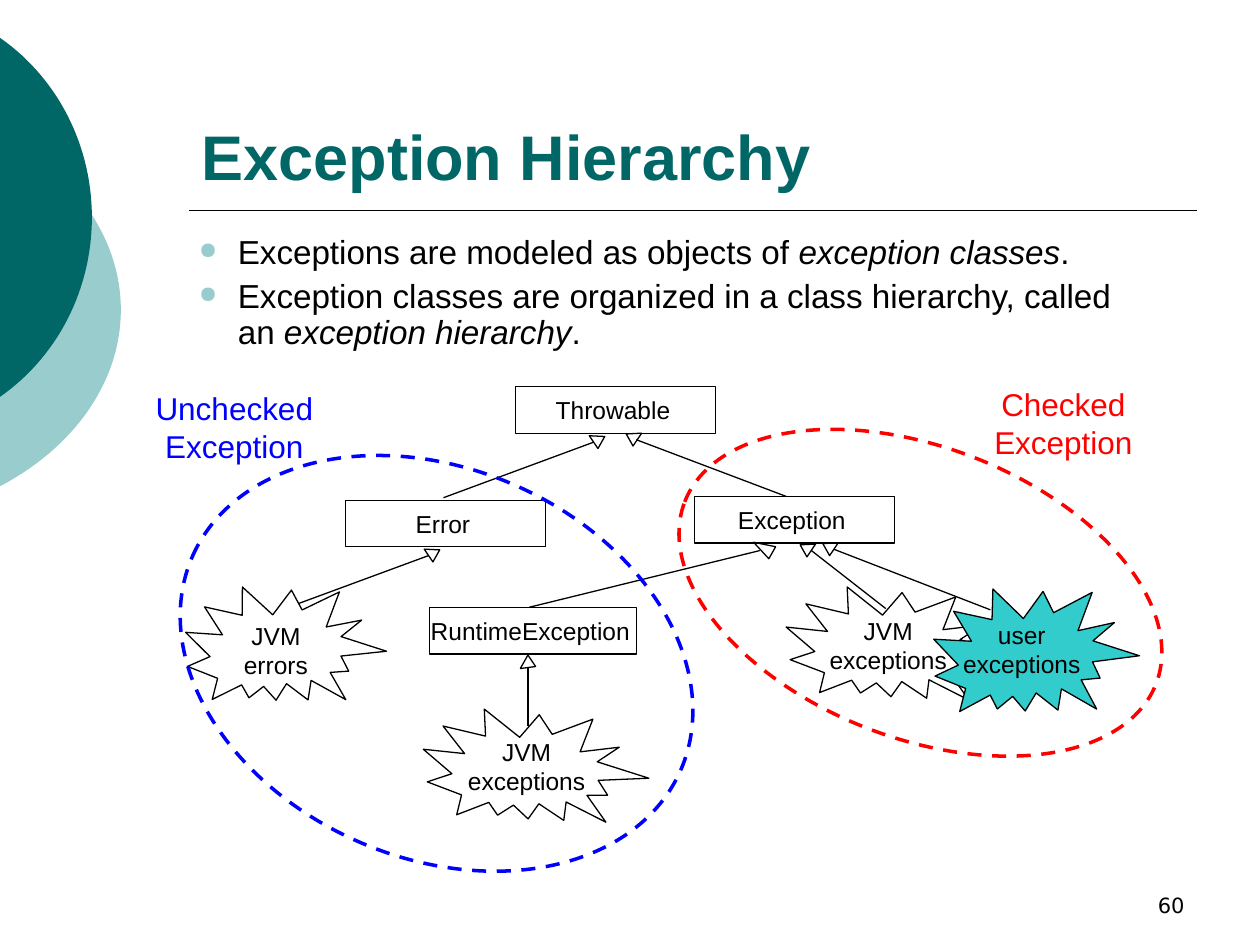
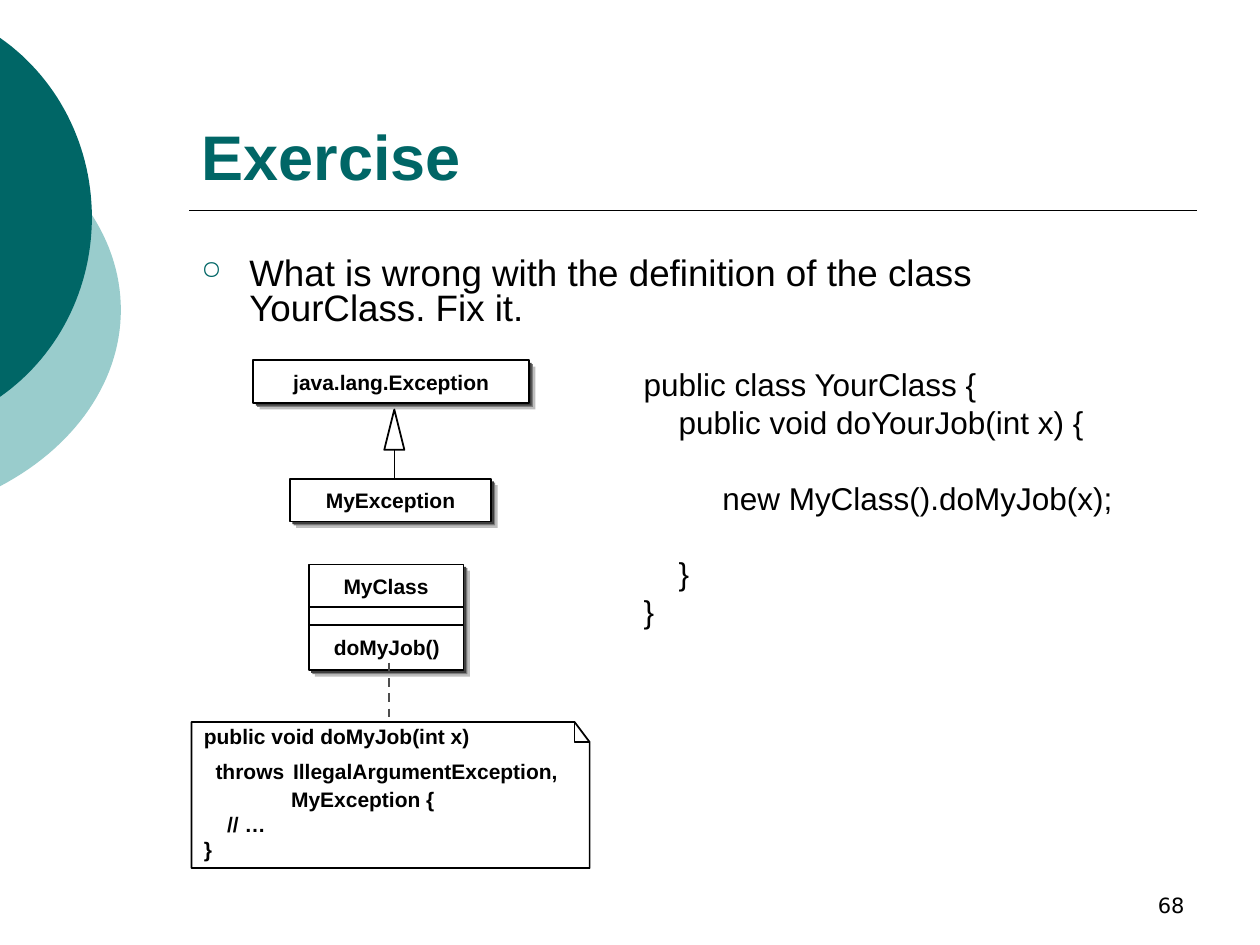
from dataclasses import dataclass

from lxml.etree import SubElement
from pptx import Presentation
from pptx.dml.color import RGBColor
from pptx.enum.dml import MSO_LINE
from pptx.enum.shapes import MSO_CONNECTOR, MSO_SHAPE as Preset
from pptx.enum.text import MSO_ANCHOR as Anchor, MSO_AUTO_SIZE as AutoSize, PP_ALIGN as Align
from pptx.oxml.ns import qn
from pptx.util import Inches, Pt


@dataclass(frozen=True)
class Theme:
    dark: str = "006666"
    light: str = "99CCCC"
    user: str = "33CCCC"
    black: str = "000000"
    white: str = "FFFFFF"
    unchecked: str = "0000FF"
    checked: str = "FF0000"
    anchor_line: str = "4D4D4D"
    shades: tuple = ("BFBFBF", "7F7F7F", "3F3F3F")
    font: str = "Arial"
    number_font: str = "DejaVu Sans"
    title: float = 36
    question: float = 21
    bullet: float = 19
    large: float = 18
    node: float = 14
    small: float = 12


THEME = Theme()


def style_runs(frame, size, color=THEME.black, bold=False, align=None, font=THEME.font):
    for paragraph in frame.paragraphs:
        if align is not None:
            paragraph.alignment = align
        for run in paragraph.runs:
            run.font.name, run.font.size, run.font.bold = font, Pt(size), bold
            run.font.color.rgb = RGBColor.from_string(color)


def set_insets(frame, left=0, top=0, right=0, bottom=0):
    frame.margin_left, frame.margin_top = Inches(left), Inches(top)
    frame.margin_right, frame.margin_bottom = Inches(right), Inches(bottom)


def paint(shape, fill=None, line=None, weight=0.75):
    shape.shadow.inherit = False
    if fill:
        shape.fill.solid()
        shape.fill.fore_color.rgb = RGBColor.from_string(fill)
    else:
        shape.fill.background()
    if line:
        shape.line.color.rgb = RGBColor.from_string(line)
        shape.line.width = Pt(weight)
    else:
        shape.line.fill.background()


def add_preset(slide, preset, box, fill=None, line=None, weight=0.75, rotation=0):
    shape = slide.shapes.add_shape(preset, *map(Inches, box))
    paint(shape, fill, line, weight)
    shape.rotation = rotation
    return shape


def add_outline(slide, points, fill=None, line=None, weight=1, close=True):
    start, *rest = [(Inches(x), Inches(y)) for x, y in points]
    builder = slide.shapes.build_freeform(*start, scale=1.0)
    builder.add_line_segments(rest, close=close)
    paint(builder.convert_to_shape(), fill, line, weight)


def add_line(slide, start, end, weight=0.75, color=THEME.black, dash=None):
    line = slide.shapes.add_connector(MSO_CONNECTOR.STRAIGHT, *map(Inches, (*start, *end)))
    line.line.color.rgb = RGBColor.from_string(color)
    line.line.width = Pt(weight)
    if dash:
        line.line.dash_style = dash
    SubElement(line._element.spPr, qn("a:effectLst"))


def add_text(slide, box, text, size, wrap=True, **style):
    frame = slide.shapes.add_textbox(*map(Inches, box)).text_frame
    frame.word_wrap = wrap
    frame.text = text
    style_runs(frame, size, **style)
    return frame


def add_label(slide, center_x, top, text, size, color=THEME.black):
    """Centred lines of text around center_x."""
    width = 1.6
    height = 0.1 + 0.24 * len(text.split("\n"))
    add_text(slide, (center_x - width / 2, top, width, height), text, size,
             wrap=False, color=color, align=Align.CENTER)


def add_bullets(slide, box, items, size, mark, mark_color, hanging, spacing, gap):
    """Each item is a list of (text, italic) runs."""
    frame = slide.shapes.add_textbox(*map(Inches, box)).text_frame
    frame.word_wrap = True
    for index, item in enumerate(items):
        paragraph = frame.paragraphs[0] if index == 0 else frame.add_paragraph()
        paragraph.line_spacing = spacing
        paragraph.space_before = Pt(gap if index else 0)
        properties = paragraph._p.get_or_add_pPr()
        properties.set("marL", str(Inches(hanging)))
        properties.set("indent", str(-Inches(hanging)))
        color = SubElement(properties, qn("a:buClr"))
        SubElement(color, qn("a:srgbClr"), val=mark_color)
        SubElement(properties, qn("a:buSzPct"), val="70000")
        SubElement(properties, qn("a:buChar"), char=mark)
        for text, italic in item:
            run = paragraph.add_run()
            run.text = text
            run.font.italic = italic
    style_runs(frame, size)


def add_disc_edge(slide, top, bottom, reach, shoulder, color):
    """Right side of a disc cut off by the slide's left edge."""
    middle = (top + bottom) / 2
    rise = middle - top
    controls = ((0, top), (shoulder, top + 0.225 * rise),
                (reach, top + 0.6 * rise), (reach, middle))
    steps = 30
    upper = []
    for step in range(steps + 1):
        t = step / steps
        weights = ((1 - t) ** 3, 3 * t * (1 - t) ** 2, 3 * t * t * (1 - t), t ** 3)
        upper.append(tuple(sum(w * point[axis] for w, point in zip(weights, controls))
                           for axis in (0, 1)))
    lower = [(x, top + bottom - y) for x, y in reversed(upper[:-1])]
    add_outline(slide, upper + lower, fill=color)


def add_titled_slide(deck, title_text, number):
    slide = deck.slides.add_slide(deck.slide_layouts[5])
    add_disc_edge(slide, 1.06, 3.86, 0.96, 0.6, THEME.light)
    add_disc_edge(slide, 0.3, 3.15, 0.73, 0.46, THEME.dark)
    add_line(slide, (1.5, 1.67), (9.5, 1.67), weight=1)

    title = slide.shapes.title
    title.left, title.top, title.width, title.height = map(Inches, (1.5, 0.33, 8, 1.25))
    frame = title.text_frame
    frame.text = title_text
    frame.auto_size = AutoSize.NONE
    frame.vertical_anchor = Anchor.BOTTOM
    style_runs(frame, THEME.title, THEME.dark, bold=True, align=Align.LEFT)

    footer = add_text(slide, (7.17, 6.83, 2.33, 0.5), number, THEME.small,
                      align=Align.RIGHT, font=THEME.number_font)
    footer.vertical_anchor = Anchor.BOTTOM
    return slide


def add_class_node(slide, left, top, name, width=1.59):
    node = add_preset(slide, Preset.RECTANGLE, (left, top, width, 0.37), line=THEME.black)
    frame = node.text_frame
    frame.word_wrap = False
    frame.vertical_anchor = Anchor.MIDDLE
    set_insets(frame, right=0.04)
    frame.text = name
    style_runs(frame, THEME.node, align=Align.CENTER)


def add_burst(slide, box, label_x, label_top, text, fill=None):
    add_preset(slide, Preset.EXPLOSION2, box, fill, THEME.black, rotation=16.9)
    add_label(slide, label_x, label_top, text, THEME.node)


def add_inheritance(slide, child, parent, head, rotation, head_height=0.11):
    add_line(slide, child, parent)
    add_preset(slide, Preset.ISOSCELES_TRIANGLE, (*head, 0.11, head_height),
               line=THEME.black, rotation=rotation)


def add_scope(slide, box, rotation, color, label_x, label_top, text):
    ring = add_preset(slide, Preset.OVAL, box, line=color, weight=2, rotation=rotation)
    ring.line.dash_style = MSO_LINE.DASH
    add_label(slide, label_x, label_top, text, THEME.large, color)


def add_uml_box(slide, left, top, width, height, name, anchor=Anchor.MIDDLE):
    for shade, offset in zip(THEME.shades, (0.05, 0.03, 0.02)):
        add_preset(slide, Preset.RECTANGLE,
                   (left + offset, top + offset, width, height), shade)
    frame = add_preset(slide, Preset.RECTANGLE, (left, top, width, height),
                       THEME.white, THEME.black, 1).text_frame
    frame.vertical_anchor = anchor
    set_insets(frame, top=0.07 if anchor == Anchor.TOP else 0)
    frame.text = name
    style_runs(frame, THEME.small, bold=True, align=Align.CENTER)


def build_hierarchy(deck):
    slide = add_titled_slide(deck, "Exception Hierarchy", "60")
    add_bullets(slide, (1.48, 1.82, 7.5, 1.07), [
        [("Exceptions are modeled as objects of ", False),
         ("exception classes", True), (".", False)],
        [("Exception classes are organized in a class hierarchy, called an ", False),
         ("exception hierarchy", True), (".", False)],
    ], THEME.bullet, "●", THEME.light, hanging=0.31, spacing=0.9, gap=4.8)

    add_class_node(slide, 4.09, 3.07, "Throwable")
    add_class_node(slide, 2.74, 3.97, "Error")
    add_class_node(slide, 3.41, 4.82, "RuntimeException", width=1.64)
    add_class_node(slide, 5.51, 3.94, "Exception")

    add_burst(slide, (1.47, 4.59, 1.57, 1.11), 2.19, 4.88, "JVM\nerrors")
    add_burst(slide, (6.23, 4.62, 1.78, 1.04), 7.05, 4.84, "JVM\nexceptions")
    add_burst(slide, (7.41, 4.59, 1.6, 1.21), 8.11, 4.87, "user\nexceptions", THEME.user)
    add_burst(slide, (3.35, 5.59, 1.78, 1.04), 4.18, 5.8, "JVM\nexceptions")

    from_left, from_right, from_below = 299.4, 60.6, 236
    add_inheritance(slide, (6.24, 3.94), (5.05, 3.49), (4.99, 3.41), from_right)
    add_inheritance(slide, (3.52, 3.95), (4.71, 3.51), (4.67, 3.43), from_left)
    add_inheritance(slide, (7.86, 4.84), (6.62, 4.36), (6.55, 4.28), from_right)
    add_inheritance(slide, (2.37, 4.79), (3.4, 4.41), (3.36, 4.33), from_left)
    add_inheritance(slide, (4.2, 4.82), (6.03, 4.37), (6, 4.26), from_left, 0.17)
    add_inheritance(slide, (7.03, 4.83), (6.44, 4.37), (6.37, 4.29), from_right)
    add_inheritance(slide, (4.19, 5.76), (4.19, 5.29), (4.12, 5.22), from_below)

    add_scope(slide, (1.35, 3.72, 4.23, 3.09), 23.6, THEME.unchecked,
              1.86, 3.04, "Unchecked\nException")
    add_scope(slide, (5.3, 3.55, 4.01, 2.31), 21.1, THEME.checked,
              8.44, 3.01, "Checked\nException")


def add_method_note(slide):
    left, top, right, bottom = 1.52, 5.73, 4.68, 6.89
    fold_x, fold_y = 4.56, 5.89
    add_outline(slide, [(left, top), (left, bottom), (right, bottom),
                        (right, fold_y), (fold_x, top)], line=THEME.black)
    add_outline(slide, [(fold_x, top), (fold_x, fold_y), (right, fold_y)],
                line=THEME.black, close=False)
    code = add_text(slide, (left, 5.69, 3.1, 1.2),
                    "public void doMyJob(int x)\n"
                    "  throws\n"
                    "               MyException {\n"
                    "    // …\n"
                    "}", THEME.small, bold=True)
    throws = code.paragraphs[1]
    for text, size, bold in ((" ", THEME.large, False),
                             ("IllegalArgumentException,", THEME.small, True)):
        run = throws.add_run()
        run.text = text
        run.font.name, run.font.size, run.font.bold = THEME.font, Pt(size), bold
        run.font.color.rgb = RGBColor.from_string(THEME.black)


def build_exercise(deck):
    slide = add_titled_slide(deck, "Exercise", "68")
    question = "What is wrong with the definition of the class YourClass. Fix it."
    add_bullets(slide, (1.5, 2, 7.38, 0.72), [[(question, False)]], THEME.question,
                "○", THEME.dark, hanging=0.38, spacing=0.8, gap=5.2)

    add_method_note(slide)
    add_uml_box(slide, 2.3, 3.8, 1.6, 0.34, "MyException")
    add_uml_box(slide, 2.01, 2.86, 2.19, 0.34, "java.lang.Exception")
    add_uml_box(slide, 2.45, 4.48, 1.23, 0.84, "MyClass", Anchor.TOP)
    for divider_y in (4.82, 4.96):
        add_line(slide, (2.45, divider_y), (3.68, divider_y), weight=1)
    method = add_text(slide, (2.58, 5.04, 0.98, 0.2), "doMyJob()", THEME.small,
                      wrap=False, bold=True, align=Align.CENTER)
    set_insets(method)

    add_line(slide, (3.13, 3.79), (3.13, 3.25), weight=1)
    add_preset(slide, Preset.ISOSCELES_TRIANGLE, (3.05, 3.25, 0.16, 0.32),
               THEME.white, THEME.black, 1)
    add_line(slide, (3.09, 5.26), (3.09, 5.69), 1.25, THEME.anchor_line, MSO_LINE.DASH)

    your_class = add_text(slide, (5.01, 2.85, 3.92, 2.2),
                          "public class YourClass {\n"
                          "    public void doYourJob(int x) {\n"
                          "         new MyClass().doMyJob(x);\n"
                          "    }\n"
                          "}", THEME.large, wrap=False)
    for spaced_line in your_class.paragraphs[2:4]:
        spaced_line.space_before = Pt(21.6)


def main():
    deck = Presentation()
    deck.slide_width, deck.slide_height = Inches(10), Inches(7.5)
    build_hierarchy(deck)
    build_exercise(deck)
    deck.save("out.pptx")


if __name__ == "__main__":
    main()
